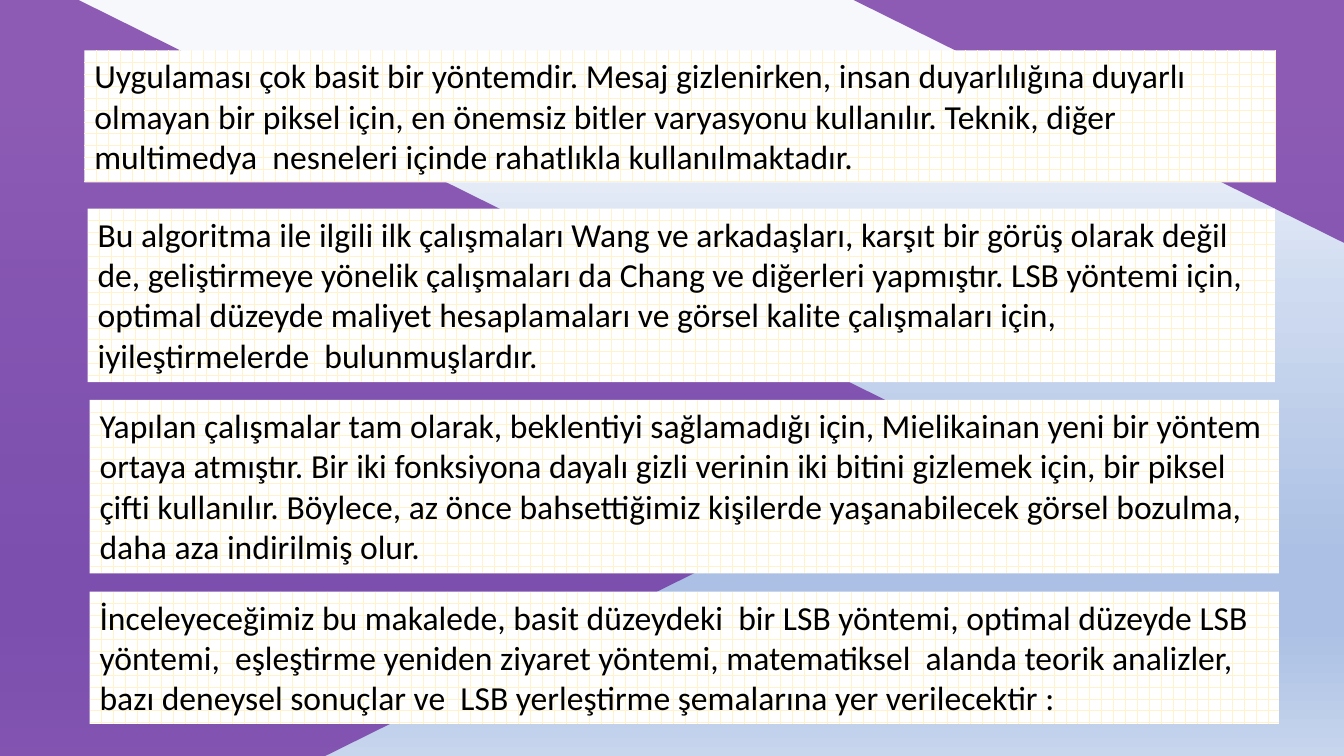
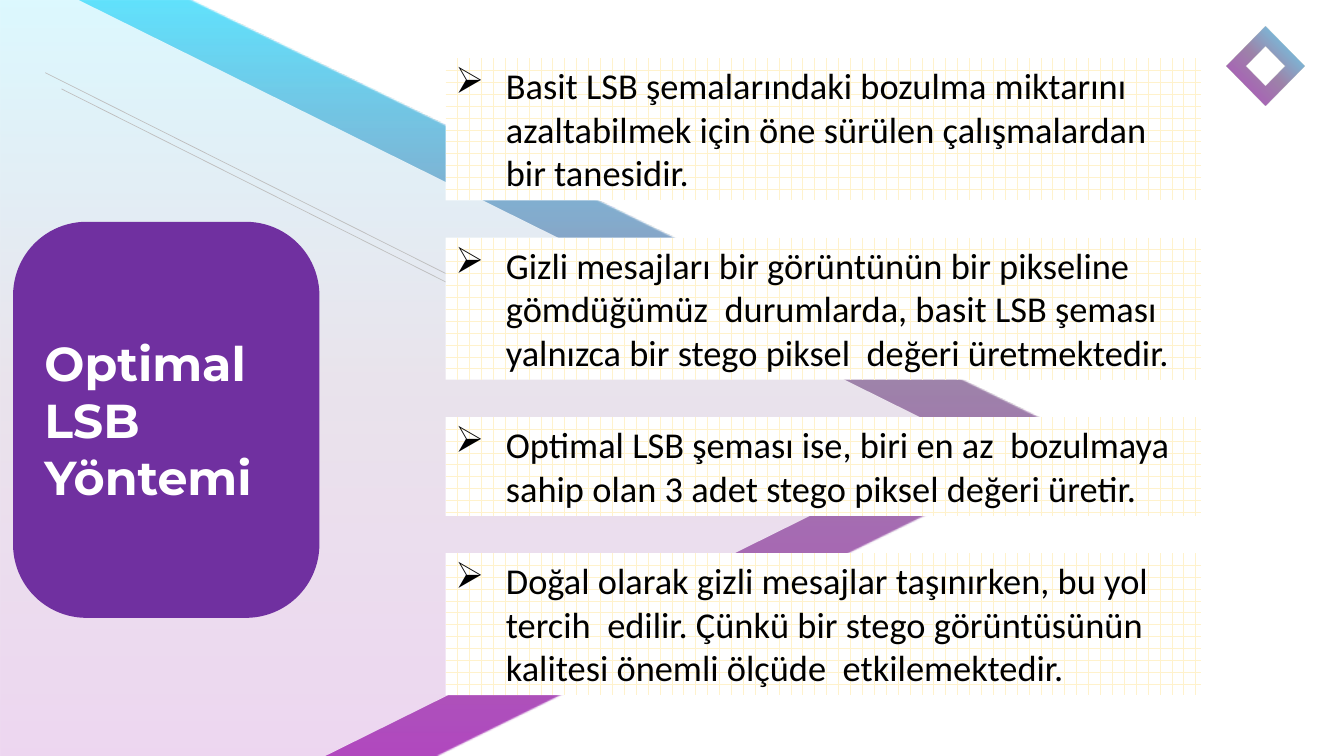
from lxml.etree import SubElement
from pptx import Presentation
from pptx.dml.color import RGBColor
from pptx.enum.dml import MSO_PATTERN
from pptx.enum.shapes import MSO_CONNECTOR, MSO_SHAPE
from pptx.enum.text import MSO_ANCHOR, MSO_AUTO_SIZE, PP_ALIGN
from pptx.oxml.ns import qn
from pptx.util import Cm, Pt

COLORS = {
    "purple": "7030A0",
    "white": "FFFFFF",
    "black": "000000",
    "cream": "FFF2CC",
    "gray": "BFBFBF",
    "ice": "F6F8FC",
    "pale": "CFDBF0",
    "sky": "ABC0E4",
    "mist": "C7D5ED",
    "cyan": "46DDFD",
    "mauve": "8D6F9B",
    "magenta": "A429B4",
}
BODY_FONT = "Calibri"
TITLE_FONT = "Montserrat"

SKY_STOPS = [(13, "ice", 33), (38, "pale", 100), (74, "sky", 100),
             (83, "sky", 100), (100, "mist", 100)]
NEON_STOPS = [(0, "cyan", 85), (50, "mauve", 85), (100, "magenta", 85)]

CORNER = [(21.51, 0), (33.87, 0), (33.87, 6.12)]
ARROW = [(0, 0), (1.98, 0), (24.31, 11.07), (8.2, 19.05), (0, 19.05)]
WIDE_ARROW = [(0, 0), (4.78, 0), (27.23, 11.05), (11, 19.05), (0, 19.05)]

PARAGRAPHS = [
    ((2.13, 1.27, 30.02, 3.33),
     "Uygulaması çok basit bir yöntemdir. Mesaj gizlenirken, insan duyarlılığına duyarlı "
     "olmayan bir piksel için, en önemsiz bitler varyasyonu kullanılır. Teknik, diğer "
     "multimedya  nesneleri içinde rahatlıkla kullanılmaktadır."),
    ((2.21, 5.26, 29.92, 4.37),
     "Bu algoritma ile ilgili ilk çalışmaları Wang ve arkadaşları, karşıt bir görüş olarak "
     "değil de, geliştirmeye yönelik çalışmaları da Chang ve diğerleri yapmıştır. LSB yöntemi "
     "için, optimal düzeyde maliyet hesaplamaları ve görsel kalite çalışmaları için, "
     "iyileştirmelerde  bulunmuşlardır."),
    ((2.26, 10.08, 29.97, 4.37),
     "Yapılan çalışmalar tam olarak, beklentiyi sağlamadığı için, Mielikainan yeni bir "
     "yöntem ortaya atmıştır. Bir iki fonksiyona dayalı gizli verinin iki bitini gizlemek "
     "için, bir piksel çifti kullanılır. Böylece, az önce bahsettiğimiz kişilerde "
     "yaşanabilecek görsel bozulma,  daha aza indirilmiş olur."),
    ((2.26, 14.91, 29.97, 3.33),
     "İnceleyeceğimiz bu makalede, basit düzeydeki  bir LSB yöntemi, optimal düzeyde LSB "
     "yöntemi,  eşleştirme yeniden ziyaret yöntemi, matematiksel  alanda teorik analizler, "
     "bazı deneysel sonuçlar ve  LSB yerleştirme şemalarına yer verilecektir :"),
]
BULLETS = [
    (3.58, "Basit LSB şemalarındaki bozulma miktarını azaltabilmek için öne sürülen "
           "çalışmalardan bir tanesidir."),
    (3.58, "Gizli mesajları bir görüntünün bir pikseline gömdüğümüz  durumlarda, basit LSB "
           "şeması yalnızca bir stego piksel  değeri üretmektedir."),
    (2.49, "Optimal LSB şeması ise, biri en az  bozulmaya sahip olan 3 adet stego piksel "
           "değeri üretir."),
    (3.58, "Doğal olarak gizli mesajlar taşınırken, bu yol tercih  edilir. Çünkü bir stego "
           "görüntüsünün kalitesi önemli ölçüde  etkilemektedir."),
]
BULLET_GAP = 0.94


def rgb(name):
    return RGBColor.from_string(COLORS[name])


def add_alpha(color_element, percent):
    SubElement(color_element, qn("a:alpha"), val=str(percent * 1000))


def fill_solid(sp, color, opacity=100):
    sp.fill.solid()
    sp.fill.fore_color.rgb = rgb(color)
    if opacity < 100:
        add_alpha(sp.element.spPr.find(".//" + qn("a:srgbClr")), opacity)


def fill_gradient(owner, fill, stops):
    fill.gradient()
    fill.gradient_angle = 270
    stop_list = owner.element.find(".//" + qn("a:gsLst"))
    for stop in list(stop_list):
        stop_list.remove(stop)
    for position, color, opacity in stops:
        stop = SubElement(stop_list, qn("a:gs"), pos=str(position * 1000))
        color_element = SubElement(stop, qn("a:srgbClr"), val=COLORS[color])
        if opacity < 100:
            add_alpha(color_element, opacity)


def make_plain(sp):
    sp.shadow.inherit = False
    sp.line.fill.background()
    return sp


def add_preset(slide, kind, box):
    return make_plain(slide.shapes.add_shape(kind, *(Cm(v) for v in box)))


def add_outline(slide, *contours):
    builder = None
    for contour in contours:
        start, *rest = [(Cm(x), Cm(y)) for x, y in contour]
        if builder is None:
            builder = slide.shapes.build_freeform(*start)
        else:
            builder.move_to(*start)
        builder.add_line_segments(rest, close=True)
    return make_plain(builder.convert_to_shape())


def add_line(slide, start, end):
    line = slide.shapes.add_connector(
        MSO_CONNECTOR.STRAIGHT, *(Cm(v) for v in start + end))
    line.line.color.rgb = rgb("gray")
    line.line.width = Pt(0.5)
    SubElement(line.element.spPr, qn("a:effectLst"))


def write_text(sp, text, size, color, font=BODY_FONT, bold=False, anchor=MSO_ANCHOR.TOP):
    tf = sp.text_frame
    tf.word_wrap = True
    tf.vertical_anchor = anchor
    tf.text = text
    p = tf.paragraphs[0]
    p.alignment = PP_ALIGN.LEFT
    r = p.runs[0]
    r.font.name = font
    r.font.size = Pt(size)
    r.font.bold = bold
    r.font.color.rgb = rgb(color)
    return p


def add_bullet(p):
    pPr = p._p.get_or_add_pPr()
    indent = Cm(1.27)
    pPr.set("marL", str(indent))
    pPr.set("indent", str(-indent))
    SubElement(pPr, qn("a:buChar"), char="➢")


def add_text_card(slide, box, text, size):
    sp = add_preset(slide, MSO_SHAPE.RECTANGLE, box)
    sp.fill.patterned()
    sp.fill.pattern = MSO_PATTERN.HORIZONTAL_BRICK
    sp.fill.fore_color.rgb = rgb("cream")
    sp.fill.back_color.rgb = rgb("white")
    p = write_text(sp, text, size, "black")
    sp.text_frame.auto_size = MSO_AUTO_SIZE.SHAPE_TO_FIT_TEXT
    return p


def add_title_card(slide, box, text):
    sp = add_preset(slide, MSO_SHAPE.ROUNDED_RECTANGLE, box)
    sp.adjustments[0] = 0.24
    fill_solid(sp, "purple")
    write_text(sp, text, 34, "white", TITLE_FONT, True, MSO_ANCHOR.MIDDLE)


def add_diamond_frame(slide, box):
    sp = add_preset(slide, MSO_SHAPE.FRAME, box)
    sp.adjustments[0] = 0.25
    sp.rotation = 45
    fill_gradient(sp, sp.fill, NEON_STOPS)


def add_veil(slide, color):
    fill_solid(add_outline(slide, CORNER, ARROW), color, 78)


def build_overview(slide):
    fill_gradient(slide, slide.background.fill, SKY_STOPS)
    add_veil(slide, "purple")
    for box, text in PARAGRAPHS:
        add_text_card(slide, box, text, 24)


def build_optimal_method(slide):
    slide.background.fill.solid()
    slide.background.fill.fore_color.rgb = rgb("white")
    band = add_outline(slide, WIDE_ARROW)
    fill_gradient(band, band.fill, NEON_STOPS)
    add_veil(slide, "white")
    add_diamond_frame(slide, (31.19, 0.97, 1.4, 1.4))
    add_line(slide, (1.14, 1.83), (14.1, 8.33))
    add_line(slide, (1.55, 2.24), (14.53, 8.76))
    add_title_card(slide, (0.33, 5.59, 7.72, 9.98), "Optimal LSB Yöntemi")
    top = 1.47
    for height, text in BULLETS:
        add_bullet(add_text_card(slide, (11.23, top, 19.05, height), text, 26))
        top += height + BULLET_GAP


def main():
    prs = Presentation()
    prs.slide_width = Cm(33.87)
    prs.slide_height = Cm(19.05)
    for build in (build_overview, build_optimal_method):
        build(prs.slides.add_slide(prs.slide_layouts[6]))
    prs.save("out.pptx")


if __name__ == "__main__":
    main()
